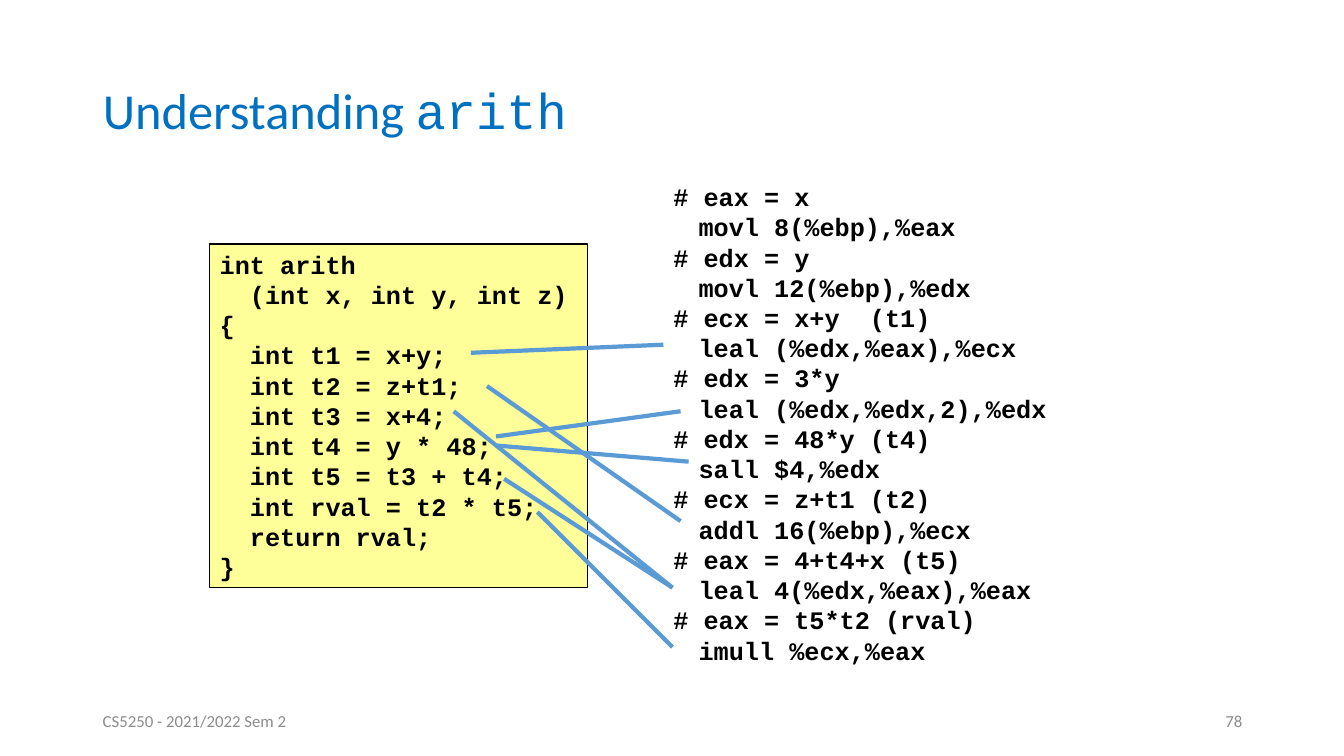
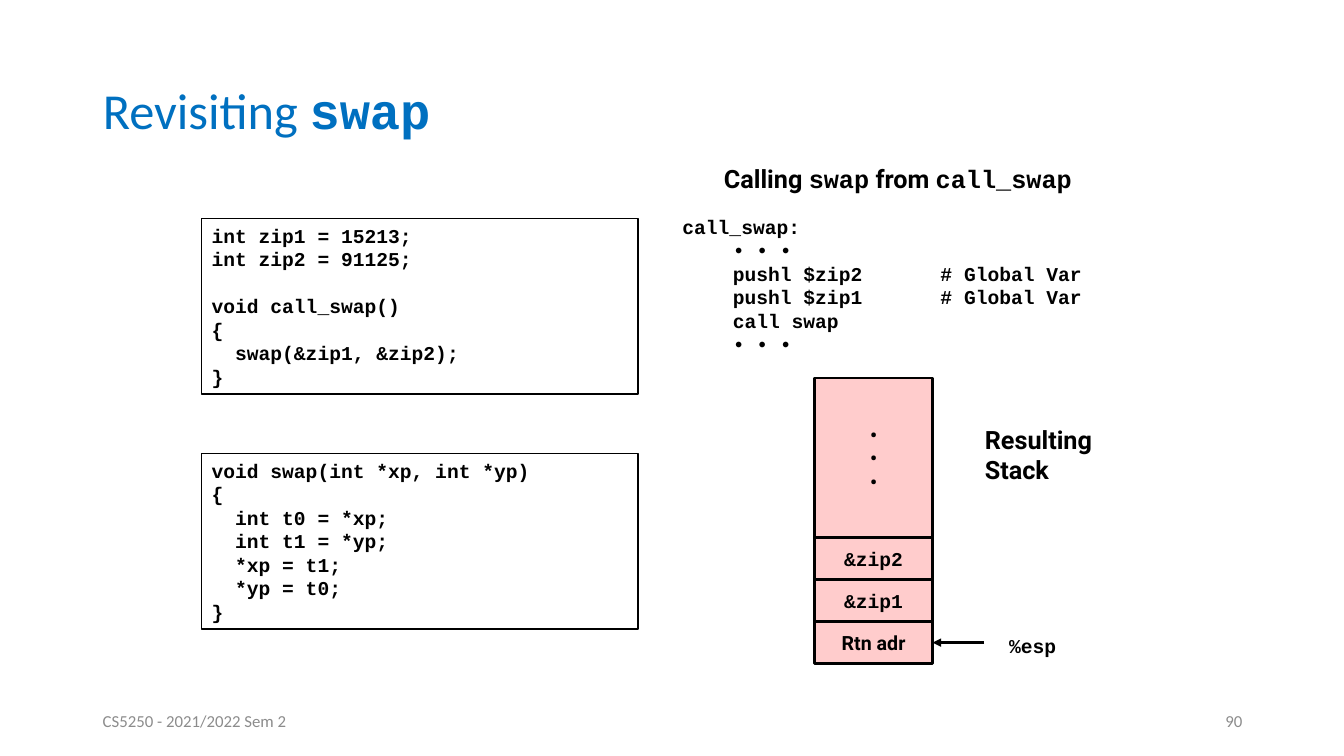
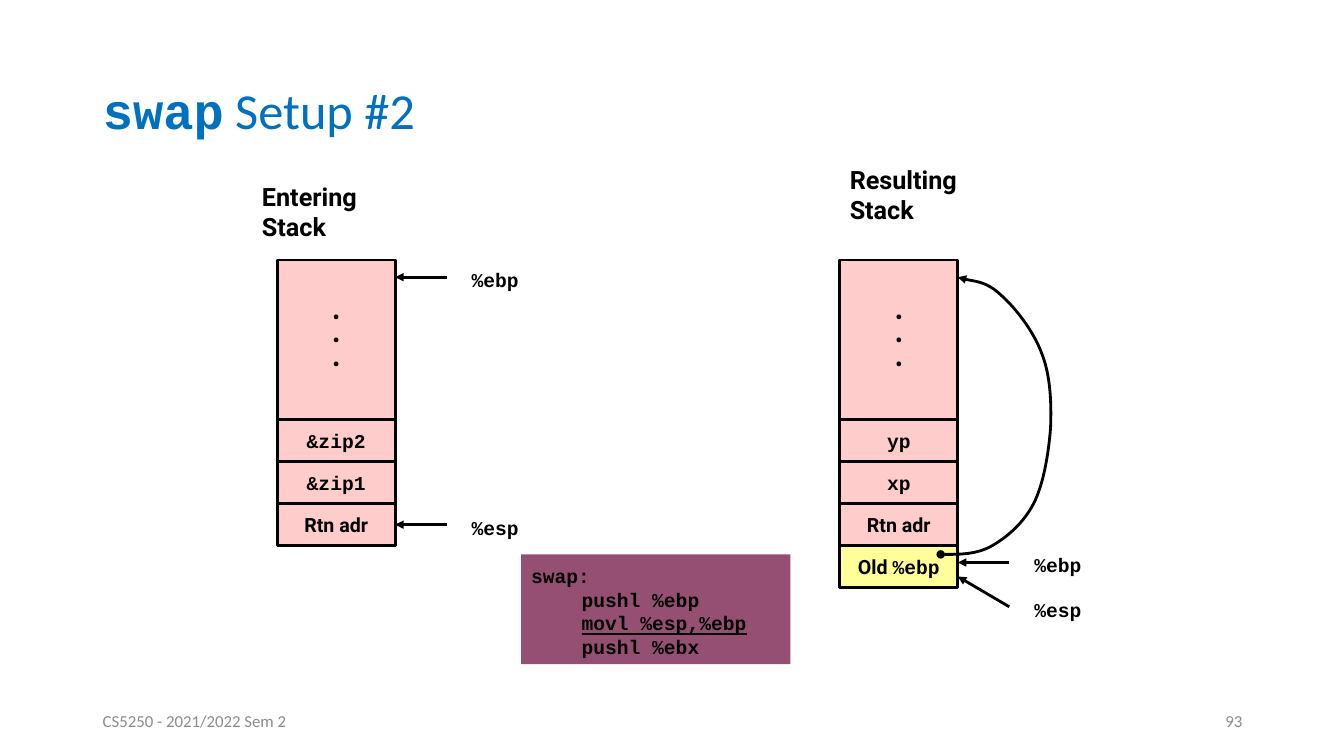
from lxml.etree import SubElement
from pptx import Presentation
from pptx.dml.color import RGBColor
from pptx.enum.shapes import MSO_CONNECTOR as Connector, MSO_SHAPE as Shape
from pptx.enum.text import MSO_ANCHOR as Anchor, MSO_AUTO_SIZE as AutoSize, PP_ALIGN as Align
from pptx.oxml.ns import qn
from pptx.text.text import Font
from pptx.util import Inches, Pt

BLACK = RGBColor(0x00, 0x00, 0x00)
TITLE_BLUE = RGBColor(0x00, 0x70, 0xC0)
LINK_BLUE = RGBColor(0x5B, 0x9B, 0xD5)
GREY = RGBColor(0x8C, 0x8C, 0x8C)
YELLOW = RGBColor(0xFF, 0xFF, 0x99)
PINK = RGBColor(0xFF, 0xCC, 0xCC)
PLUM = RGBColor(0x95, 0x4F, 0x72)

MONO = {"name": "Courier New"}
SANS = {"name": "Roboto"}
MONO_BOLD = {**MONO, "bold": True}
TITLE = {"name": "Calibri", "size": Pt(36), "color": TITLE_BLUE}
FOOTER = {"name": "Calibri", "size": Pt(12), "color": GREY}
CODE = {**MONO_BOLD, "size": Pt(14), "color": BLACK}
LARGE_CODE = {**CODE, "size": Pt(18)}
HEADING = {**LARGE_CODE, **SANS}

CELL_WIDTH = Inches(1.17)
CELL_HEIGHT = Inches(5) // 12
DOTS_HEIGHT = Inches(19) // 12
RETURN_ADDRESS = [("Rtn adr", SANS)]

ARITH_SOURCE = """int arith
  (int x, int y, int z)
{
  int t1 = x+y;
  int t2 = z+t1;
  int t3 = x+4;
  int t4 = y * 48;
  int t5 = t3 + t4;
  int rval = t2 * t5;
  return rval;
}"""

ARITH_ASSEMBLY = """# eax = x
\tmovl 8(%ebp),%eax
# edx = y
\tmovl 12(%ebp),%edx
# ecx = x+y  (t1)
\tleal (%edx,%eax),%ecx
# edx = 3*y
\tleal (%edx,%edx,2),%edx
# edx = 48*y (t4)
\tsall $4,%edx
# ecx = z+t1 (t2)
\taddl 16(%ebp),%ecx
# eax = 4+t4+x (t5)
\tleal 4(%edx,%eax),%eax
# eax = t5*t2 (rval)
\timull %ecx,%eax"""

ARITH_LINKS = [
    ((4.67, 3.5), (6.58, 3.42)),
    ((4.92, 4.33), (6.75, 4.08)),
    ((4.92, 4.42), (6.83, 4.58)),
    ((4.83, 3.83), (6.75, 5.17)),
    ((5, 4.75), (6.67, 5.83)),
    ((4.5, 4.08), (6.67, 5.83)),
    ((5.33, 5.08), (6.67, 6.42)),
]

CALLER_SOURCE = """int zip1 = 15213;
int zip2 = 91125;

void call_swap()
{
  swap(&zip1, &zip2);
}"""

SWAP_SOURCE = """void swap(int *xp, int *yp)
{
  int t0 = *xp;
  int t1 = *yp;
  *xp = t1;
  *yp = t0;
}"""

CALLER_ASSEMBLY = """call_swap:
\t• • •
\tpushl $zip2\t# Global Var
\tpushl $zip1\t# Global Var
\tcall swap
\t• • •"""

SWAP_SETUP = [
    "swap:",
    "\tpushl %ebp",
    [("\t", {}), ("movl %esp,%ebp", {"underline": True})],
    "\tpushl %ebx",
]

SAVED_EBP_CURVE = [
    (9.33, 5.5),
    (9.51, 5.5), (9.68, 5.5), (9.83, 5.42),
    (9.99, 5.33), (10.15, 5.19), (10.25, 5),
    (10.35, 4.81), (10.4, 4.5), (10.42, 4.25),
    (10.43, 4), (10.42, 3.72), (10.33, 3.5),
    (10.25, 3.28), (10.06, 3.04), (9.92, 2.92),
    (9.78, 2.79), (9.57, 2.78), (9.5, 2.75),
]


def inches(values):
    return [Inches(value) for value in values]


def apply_format(font, style):
    for attribute, value in style.items():
        if attribute == "color":
            font.color.rgb = value
        else:
            setattr(font, attribute, value)


class Deck:
    def __init__(self):
        self.presentation = Presentation()
        self.presentation.slide_width = Inches(13.33)
        self.presentation.slide_height = Inches(7.5)
        self.slide = None

    def set_text(self, frame, paragraphs, style, align=Align.LEFT, tabs=(), **layout):
        for attribute, value in layout.items():
            setattr(frame, attribute, value)
        for index, content in enumerate(paragraphs):
            paragraph = frame.add_paragraph() if index else frame.paragraphs[0]
            paragraph.alignment = align
            if tabs:
                stops = SubElement(paragraph._p.get_or_add_pPr(), qn("a:tabLst"))
                for stop in tabs:
                    SubElement(stops, qn("a:tab"), pos=str(Inches(stop)), algn="l")
            runs = [(content, {})] if isinstance(content, str) else content
            for text, changes in runs:
                if text:
                    run = paragraph.add_run()
                    run.text = text
                    apply_format(run.font, {**style, **changes})
                else:
                    apply_format(Font(paragraph._p.get_or_add_endParaRPr()), style)

    def start_slide(self, title_runs, number):
        self.slide = self.presentation.slides.add_slide(self.presentation.slide_layouts[5])
        title = self.slide.shapes.title
        title.left, title.top, title.width, title.height = inches((0.92, 0.4, 11.5, 1.45))
        self.set_text(title.text_frame, [title_runs], TITLE, word_wrap=True,
                      auto_size=AutoSize.NONE, vertical_anchor=Anchor.MIDDLE)
        title.text_frame.paragraphs[0].line_spacing = 0.9
        for left, text, align in ((0.92, "CS5250 - 2021/2022 Sem 2", Align.LEFT),
                                  (9.42, number, Align.RIGHT)):
            self.label((left, 6.95, 3, 0.4), [text], FOOTER, align, word_wrap=True,
                       auto_size=AutoSize.NONE, vertical_anchor=Anchor.MIDDLE)

    def label(self, at, paragraphs, style, align=Align.LEFT, tabs=(), **layout):
        frame = self.slide.shapes.add_textbox(*inches(at)).text_frame
        layout = {"word_wrap": False, "auto_size": AutoSize.SHAPE_TO_FIT_TEXT, **layout}
        self.set_text(frame, paragraphs, style, align, tabs, **layout)
        return frame

    def rectangle(self, left, top, width, height, fill=None, border=None):
        rectangle = self.slide.shapes.add_shape(Shape.RECTANGLE, left, top, width, height)
        rectangle.shadow.inherit = False
        if fill is None:
            rectangle.fill.background()
        else:
            rectangle.fill.solid()
            rectangle.fill.fore_color.rgb = fill
        if border is None:
            rectangle.line.fill.background()
        else:
            rectangle.line.color.rgb = BLACK
            rectangle.line.width = Pt(border)
        return rectangle

    def code_panel(self, at, paragraphs, style=CODE, fill=None, border=1, tabs=()):
        frame = self.rectangle(*inches(at), fill, border).text_frame
        self.set_text(frame, paragraphs, style, tabs=tabs, word_wrap=True,
                      auto_size=AutoSize.SHAPE_TO_FIT_TEXT, vertical_anchor=Anchor.TOP)
        return frame

    def stack(self, left, top, rows):
        dots = [[("•", SANS)]] * 3
        cells = []
        y = Inches(top)
        for paragraphs, fill in [(dots, PINK)] + rows:
            height = CELL_HEIGHT if cells else DOTS_HEIGHT
            cell = self.rectangle(Inches(left), y, CELL_WIDTH, height, fill, 2)
            self.set_text(cell.text_frame, paragraphs, CODE, Align.CENTER,
                          word_wrap=False, vertical_anchor=Anchor.MIDDLE)
            cells.append(cell)
            y += height
        return cells

    def style_line(self, drawn, color, width, **ends):
        drawn.line.color.rgb = color
        drawn.line.width = Pt(width)
        for end, kind in ends.items():
            SubElement(drawn.line._get_or_add_ln(), qn(f"a:{end}"), type=kind)

    def connector(self, start, tip, color=BLACK, width=2, **ends):
        connector = self.slide.shapes.add_connector(
            Connector.STRAIGHT, *inches(start), *inches(tip))
        self.style_line(connector, color, width, **ends)
        SubElement(connector._element.spPr, qn("a:effectLst"))
        return connector

    def pointer(self, register, tip=None, cell=None, drop=0):
        if cell is not None:
            tip = ((cell.left + cell.width) / Inches(1),
                   (cell.top + cell.height / 2) / Inches(1))
        x, y = tip[0] + 0.51, tip[1] + drop
        arrow = self.connector((x, y), tip, tailEnd="triangle")
        if cell is not None:
            arrow.end_connect(cell, 3)
        self.label((x + 0.15, y - 0.14, 0.67, 0.33), [register], CODE)

    def curve(self, points):
        start, *rest = [inches(point) for point in points]
        builder = self.slide.shapes.build_freeform(*start)
        builder.add_line_segments(rest, close=False)
        curve = builder.convert_to_shape()
        curve.shadow.inherit = False
        curve.fill.background()
        self.style_line(curve, BLACK, 2, headEnd="oval", tailEnd="triangle")
        segments = list(curve._element.iter(qn("a:lnTo")))
        outline = segments[0].getparent()
        for first in range(0, len(segments), 3):
            bezier = SubElement(outline, qn("a:cubicBezTo"))
            for segment in segments[first:first + 3]:
                bezier.append(segment[0])
                outline.remove(segment)


def arith_slide(deck):
    deck.start_slide([("Understanding ", {}), ("arith", MONO)], "78")
    deck.code_panel((2.08, 2.42, 3.75, 3.41), ARITH_SOURCE.split("\n"), LARGE_CODE, YELLOW)
    deck.label((6.58, 1.75, 4.83, 4.9), ARITH_ASSEMBLY.split("\n"), LARGE_CODE,
               tabs=(0.25,), word_wrap=True)
    for start, tip in ARITH_LINKS:
        deck.connector(start, tip, LINK_BLUE, 3)


def call_slide(deck):
    deck.start_slide([("Revisiting ", {}), ("swap", MONO_BOLD)], "90")
    for top, source in ((4.5, SWAP_SOURCE), (2.17, CALLER_SOURCE)):
        deck.code_panel((2, top, 4.33, 1.74), source.split("\n"))
    deck.label((6.67, 2.08, 4.67, 1.51), CALLER_ASSEMBLY.split("\n"), CODE,
               tabs=(0.5, 2.56), word_wrap=True)
    cells = deck.stack(8.08, 3.75, [
        (["&zip2"], PINK), (["&zip1"], PINK), ([RETURN_ADDRESS], PINK)])
    deck.pointer("%esp", cell=cells[-1])
    deck.label((9.67, 4.16, 1.34, 0.7), ["Resulting", "Stack"], HEADING)
    calling = [("Calling ", {}), ("swap", MONO), (" from ", {}), ("call_swap", MONO)]
    heading = deck.label((7.07, 1.61, 3.67, 0.37), [calling], HEADING, Align.CENTER,
                         margin_left=Inches(0.05), margin_right=Inches(0.05))
    heading.paragraphs[0].line_spacing = 0.9


def setup_slide(deck):
    deck.start_slide([("swap", MONO_BOLD), (" Setup #2", {})], "93")
    setup = deck.code_panel((5.17, 5.5, 2.67, 1.09), SWAP_SETUP,
                            fill=PLUM, border=None, tabs=(0.5,))
    setup.paragraphs[0].line_spacing = 1.2

    deck.label((2.5, 1.75, 1.22, 0.7), ["Entering", "Stack"], HEADING)
    entering = deck.stack(2.75, 2.58, [
        (["&zip2"], PINK), (["&zip1"], PINK), ([RETURN_ADDRESS], PINK)])
    deck.pointer("%ebp", tip=(3.92, 2.75))
    deck.pointer("%esp", cell=entering[-1])

    deck.label((8.33, 1.58, 1.34, 0.7), ["Resulting", "Stack"], HEADING)
    deck.stack(8.33, 2.58, [
        (["yp"], PINK), (["xp"], PINK), ([RETURN_ADDRESS], PINK),
        ([[("Old ", SANS), ("%ebp", MONO)]], YELLOW)])
    deck.pointer("%ebp", tip=(9.5, 5.58))
    deck.pointer("%esp", tip=(9.5, 5.72), drop=0.3)
    deck.curve(SAVED_EBP_CURVE)


def main():
    deck = Deck()
    arith_slide(deck)
    call_slide(deck)
    setup_slide(deck)
    deck.presentation.save("out.pptx")


if __name__ == "__main__":
    main()
